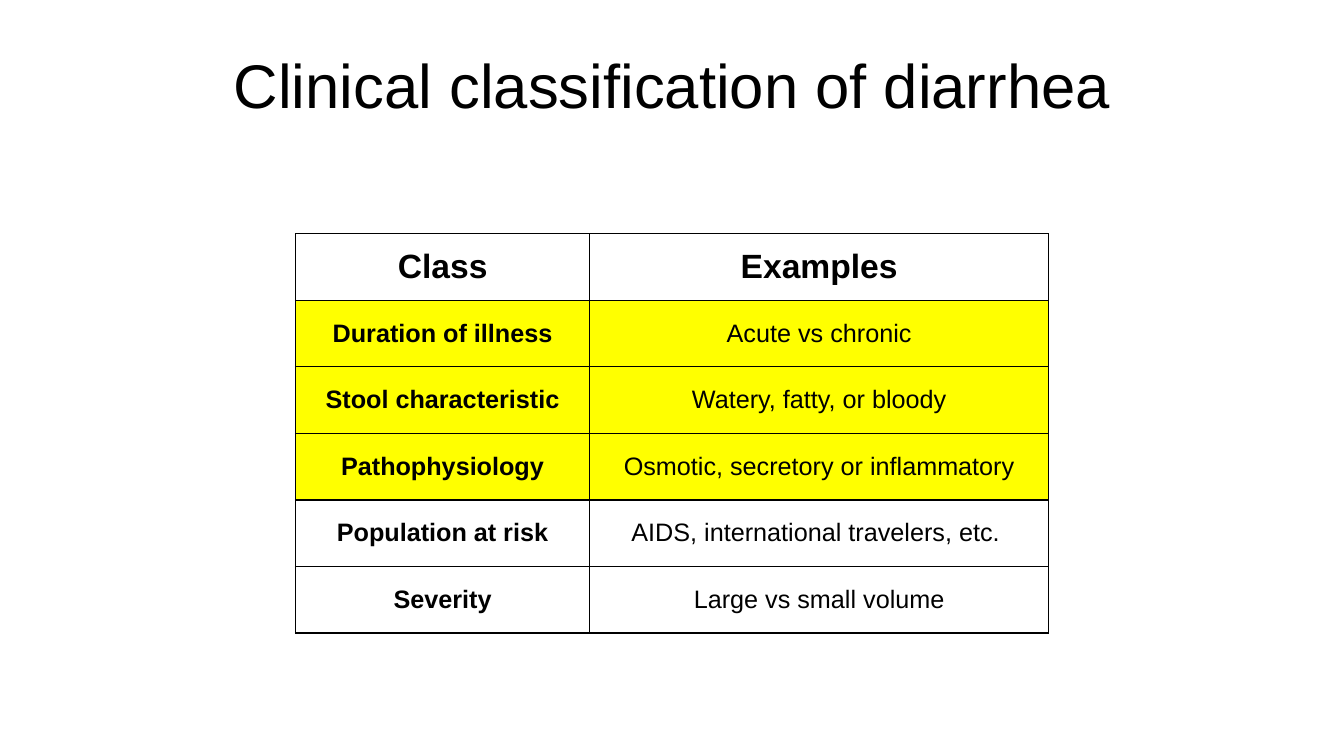
"""Build a slide that classifies diarrhea in a two-column table."""
from lxml import etree
from pptx import Presentation
from pptx.dml.color import RGBColor
from pptx.enum.text import MSO_ANCHOR, PP_ALIGN
from pptx.oxml.ns import qn
from pptx.util import Inches, Pt

CENTER = PP_ALIGN.CENTER
MIDDLE = MSO_ANCHOR.MIDDLE
BLACK = RGBColor(0, 0, 0)
YELLOW = RGBColor(255, 255, 0)
FONT = "Arial"
TITLE_ONLY = 5
COLUMN_WIDTHS = (2.92, 4.55)
ROW_HEIGHT = 0.66
HIGHLIGHTED_ROWS = (1, 2, 3)
ROWS = [
    ("Class", "Examples"),
    ("Duration of illness", "Acute vs chronic"),
    ("Stool characteristic", "Watery, fatty, or bloody"),
    ("Pathophysiology", "Osmotic, secretory or inflammatory"),
    ("Population at risk", "AIDS, international travelers, etc. "),
    ("Severity", "Large vs small volume"),
]


def write_text(text_frame, text, size, bold=False, line_spacing=None):
    paragraph = text_frame.paragraphs[0]
    paragraph.alignment = CENTER
    paragraph.line_spacing = line_spacing
    run = paragraph.add_run()
    run.text = text
    run.font.name = FONT
    run.font.size = Pt(size)
    run.font.bold = bold
    run.font.color.rgb = BLACK


def add_borders(cell):
    properties = cell._tc.get_or_add_tcPr()
    for position, side in enumerate(("lnL", "lnR", "lnT", "lnB")):
        line = etree.Element(qn(f"a:{side}"), w=str(Pt(1)))
        fill = etree.SubElement(line, qn("a:solidFill"))
        etree.SubElement(fill, qn("a:srgbClr"), val=str(BLACK))
        properties.insert(position, line)


presentation = Presentation()
presentation.slide_width = Inches(13.33)
presentation.slide_height = Inches(7.5)
slide = presentation.slides.add_slide(presentation.slide_layouts[TITLE_ONLY])

title = slide.shapes.title
title.left, title.top = Inches(0.51), Inches(0.15)
title.width, title.height = Inches(12.32), Inches(1.45)
title.text_frame.vertical_anchor = MIDDLE
write_text(title.text_frame, "Clinical classification of diarrhea", size=44, line_spacing=0.9)

table = slide.shapes.add_table(
    len(ROWS), len(COLUMN_WIDTHS), Inches(2.93), Inches(2.32),
    Inches(sum(COLUMN_WIDTHS)), Inches(ROW_HEIGHT * len(ROWS)),
).table
table.horz_banding = False
for column, width in zip(table.columns, COLUMN_WIDTHS):
    column.width = Inches(width)

for row_index, row_texts in enumerate(ROWS):
    table.rows[row_index].height = Inches(ROW_HEIGHT)
    is_header = row_index == 0
    for column_index, text in enumerate(row_texts):
        cell = table.cell(row_index, column_index)
        cell.vertical_anchor = MIDDLE
        if row_index in HIGHLIGHTED_ROWS:
            cell.fill.solid()
            cell.fill.fore_color.rgb = YELLOW
        else:
            cell.fill.background()
        add_borders(cell)
        write_text(cell.text_frame, text, size=24 if is_header else 18,
                   bold=is_header or column_index == 0)

presentation.save("out.pptx")
